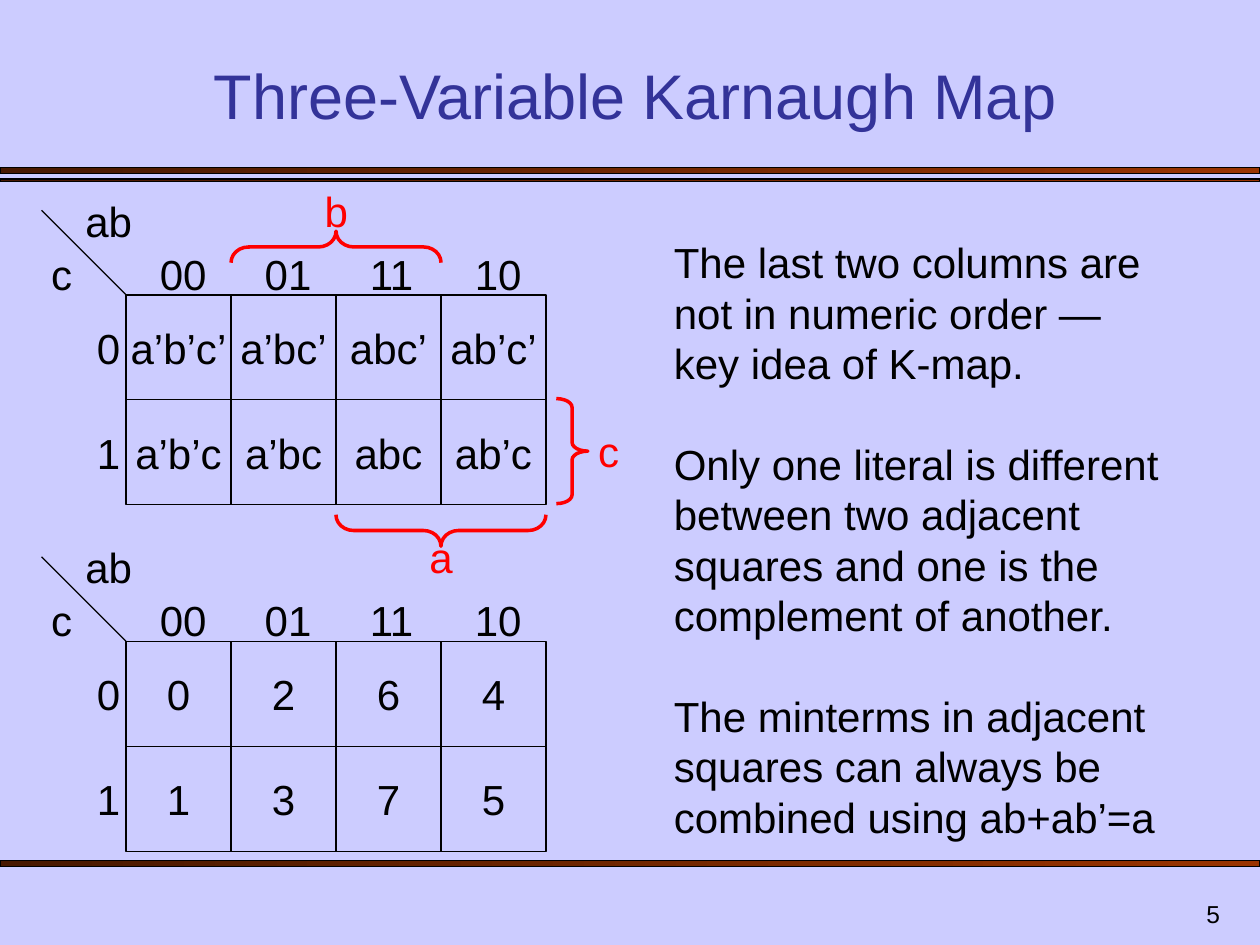
from lxml import etree
from pptx import Presentation
from pptx.dml.color import RGBColor
from pptx.enum.shapes import MSO_CONNECTOR, MSO_SHAPE
from pptx.enum.text import MSO_ANCHOR, PP_ALIGN
from pptx.oxml.ns import qn
from pptx.util import Inches, Pt

RECT, BRACE = MSO_SHAPE.RECTANGLE, MSO_SHAPE.LEFT_BRACE
LEFT, CENTER, RIGHT = PP_ALIGN.LEFT, PP_ALIGN.CENTER, PP_ALIGN.RIGHT
TOP, MIDDLE, BOTTOM = MSO_ANCHOR.TOP, MSO_ANCHOR.MIDDLE, MSO_ANCHOR.BOTTOM

LAVENDER = RGBColor(0xCC, 0xCC, 0xFF)
INDIGO = RGBColor(0x33, 0x33, 0x99)
BLACK = RGBColor(0, 0, 0)
RED = RGBColor(0xFF, 0, 0)
DARK_BROWN = RGBColor(0x47, 0x18, 0)
BROWN = RGBColor(0x99, 0x33, 0)

# Content
TITLE = "Three-Variable Karnaugh Map"
PAGE = "5"
NOTES = [
    "The last two columns are\vnot in numeric order —\vkey idea of K-map.",
    "Only one literal is different between two adjacent squares "
    "and one is the complement of another.",
    "The minterms in adjacent squares can always be combined using ab+ab’=a",
]
COLUMNS = ["00", "01", "11", "10"]
ROWS = ["0", "1"]
MAPS = [  # top, cells by row
    (1.67, [["a’b’c’", "a’bc’", "abc’", "ab’c’"],
            ["a’b’c", "a’bc", "abc", "ab’c"]]),
    (4.42, [["0", "2", "6", "4"], ["1", "3", "7", "5"]]),
]
BANDS = [(1.33, 0.05), (1.42, 0.02), (6.83, 0.05)]  # top, height

# Layout
GRID_LEFT = 1
CELL = 5 / 6
CORNER = 0.67  # side of the square crossed by the diagonal
DEPTH = 0.25   # depth of a brace
LABEL_H = 0.5

BRACES = [  # label, centre x, centre y, length, rotation, label left, label top
    ("b", GRID_LEFT + 2 * CELL, 1.96, 2 * CELL, 90, 2.42, 1.42),
    ("a", GRID_LEFT + 3 * CELL, 4.21, 2 * CELL, 270, 3.25, 4.17),
    ("c", 4.54, 3.58, CELL, 180, 4.58, 3.33),
]


def write(tf, text, size=24, color=BLACK, align=LEFT, anchor=TOP,
          wrap=True, line=None, gap=0):
    """Fill a text frame with one string or a list of paragraphs."""
    tf.word_wrap = wrap
    tf.vertical_anchor = anchor
    paragraphs = [text] if isinstance(text, str) else text
    for i, content in enumerate(paragraphs):
        p = tf.add_paragraph() if i else tf.paragraphs[0]
        p.text = content
        p.alignment = align
        p.space_before = Pt(gap if i else 0)
        if line:
            p.line_spacing = Pt(line)
        for r in p.runs:
            r.font.size = Pt(size)
            r.font.name = "Arial"
            r.font.color.rgb = color


def add_label(shapes, text, x, y, w, h=LABEL_H, **fmt):
    sp = shapes.add_textbox(Inches(x), Inches(y), Inches(w), Inches(h))
    write(sp.text_frame, text, **fmt)


def add_outline(shapes, kind, x, y, w, h, color=BLACK, width=0.75):
    sp = shapes.add_shape(kind, Inches(x), Inches(y), Inches(w), Inches(h))
    sp.shadow.inherit = False
    sp.fill.background()
    sp.line.color.rgb = color
    sp.line.width = Pt(width)
    return sp


def add_map(shapes, top, cells):
    grid_top = top + CORNER
    # Corner with the variable names
    s = shapes.add_connector(MSO_CONNECTOR.STRAIGHT,
                             Inches(GRID_LEFT - CORNER), Inches(top),
                             Inches(GRID_LEFT), Inches(grid_top))
    s.line.color.rgb = BLACK
    s.line.width = Pt(0.75)
    etree.SubElement(s._element.spPr, qn("a:effectLst"))
    add_label(shapes, "ab", 0.58, top - 0.17, 0.67)
    add_label(shapes, "c", 0.17, top + 0.25, 0.5, align=RIGHT)
    # Column and row values
    for col, value in enumerate(COLUMNS):
        add_label(shapes, value, GRID_LEFT + 0.17 + col * CELL, top + 0.25, 0.6)
    for row, value in enumerate(ROWS):
        add_label(shapes, value, 0.67, grid_top + 0.17 + row * CELL, 0.43)
    # Squares
    for row, terms in enumerate(cells):
        for col, term in enumerate(terms):
            sp = add_outline(shapes, RECT, GRID_LEFT + col * CELL,
                             grid_top + row * CELL, CELL, CELL)
            tf = sp.text_frame
            tf.margin_left = tf.margin_right = 0
            write(tf, term, align=CENTER, anchor=MIDDLE, wrap=False)


prs = Presentation()
prs.slide_width, prs.slide_height = Inches(10), Inches(7.5)
slide = prs.slides.add_slide(prs.slide_layouts[5])
slide.background.fill.solid()
slide.background.fill.fore_color.rgb = LAVENDER

# Gradient bands
for y, h in BANDS:
    sp = add_outline(slide.shapes, RECT, 0, y, 10, h)
    sp.fill.gradient()
    sp.fill.gradient_angle = 0
    for stop, color, position in zip(sp.fill.gradient_stops,
                                     (DARK_BROWN, BROWN), (0, 1)):
        stop.color.rgb = color
        stop.position = position

# Title, page number and notes
title = slide.shapes.title
title.left, title.top = Inches(0.58), Inches(0.42)
title.width, title.height = Inches(8.92), Inches(0.68)
write(title.text_frame, TITLE, size=36, color=INDIGO, align=CENTER, anchor=BOTTOM)
add_label(slide.shapes, PAGE, 7.7, 7, 2.08, 0.42, size=14, align=RIGHT, anchor=BOTTOM)
add_label(slide.shapes, NOTES, 5.25, 1.83, 4.5, 4.9, line=28.8, gap=28.8)

# Karnaugh maps
for top, cells in MAPS:
    add_map(slide.shapes.add_group_shape().shapes, top, cells)

# Braces with their variables
for name, cx, cy, length, rotation, x, y in BRACES:
    sp = add_outline(slide.shapes, BRACE, cx - DEPTH / 2, cy - length / 2,
                     DEPTH, length, color=RED, width=2)
    sp.rotation = rotation
    sp.adjustments[0] = length / 12 / DEPTH
    add_label(slide.shapes, name, x, y, 0.5, color=RED, align=CENTER)

prs.save("out.pptx")
